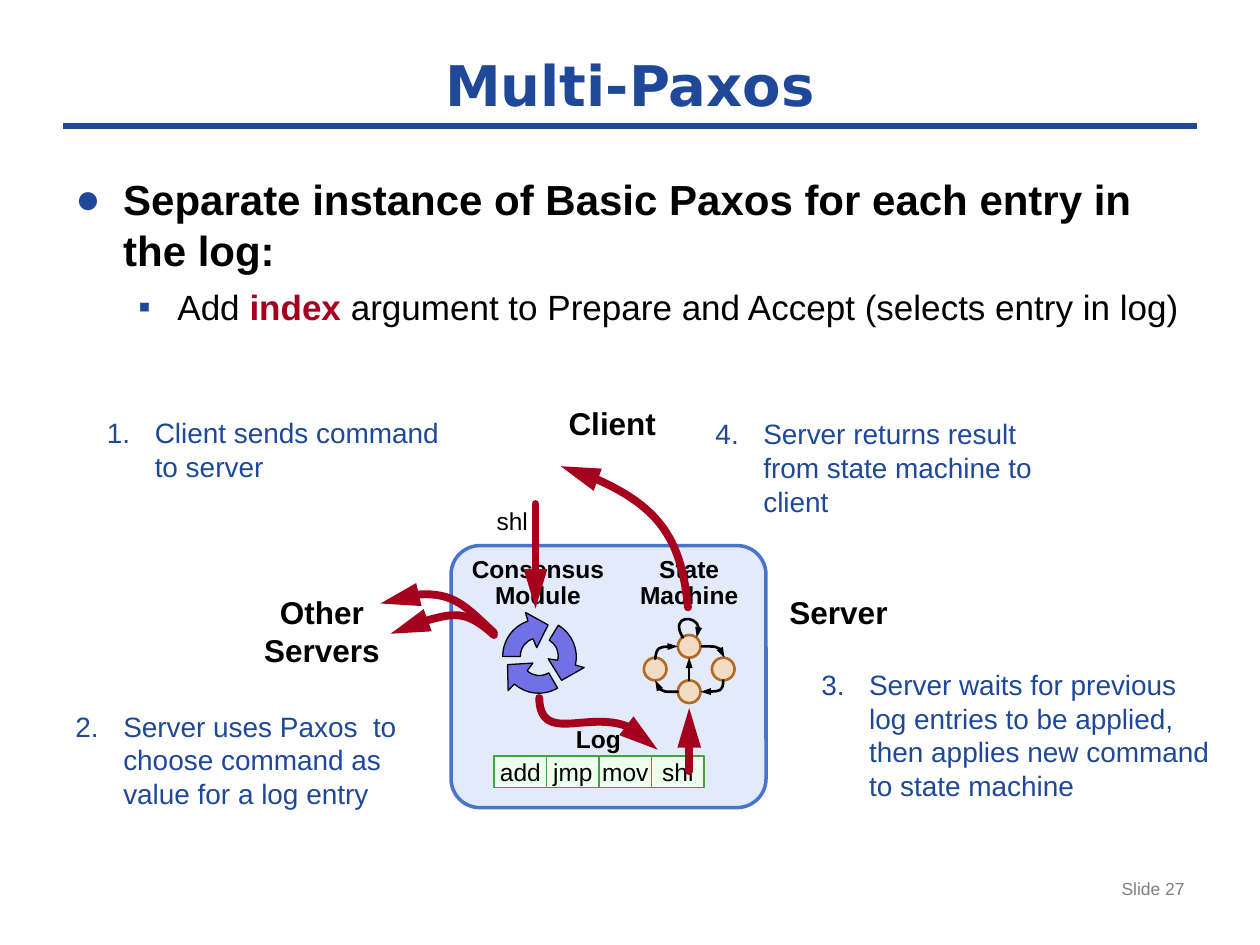
from lxml import etree
from pptx import Presentation
from pptx.dml.color import RGBColor
from pptx.enum.shapes import MSO_CONNECTOR, MSO_SHAPE
from pptx.enum.text import MSO_ANCHOR, MSO_AUTO_SIZE, PP_ALIGN
from pptx.oxml.ns import qn
from pptx.util import Inches, Pt

LEFT, CENTER, RIGHT = PP_ALIGN.LEFT, PP_ALIGN.CENTER, PP_ALIGN.RIGHT
TOP, MIDDLE = MSO_ANCHOR.TOP, MSO_ANCHOR.MIDDLE
GROW = MSO_AUTO_SIZE.SHAPE_TO_FIT_TEXT
STRAIGHT = MSO_CONNECTOR.STRAIGHT
RECTANGLE, ROUNDED, OVAL = MSO_SHAPE.RECTANGLE, MSO_SHAPE.ROUNDED_RECTANGLE, MSO_SHAPE.OVAL

BLUE, RED, BLACK, GRAY = "1F4899", "A5001E", "000000", "7F7F7F"


def color(value):
    return RGBColor.from_string(value)


def curve_frame(corners, steps=50):
    ranges = []
    for a, b, c, d in zip(*corners):
        values = []
        for step in range(steps + 1):
            t = step / steps
            u = 1 - t
            values.append(a * u ** 3 + 3 * b * t * u ** 2 + 3 * c * t ** 2 * u + d * t ** 3)
        ranges.append((min(values), max(values)))
    (left, right), (top, bottom) = ranges
    return left, top, right - left, bottom - top


class SlideBuilder:
    font = "Arial"

    def __init__(self, slide):
        self.slide = slide
        self.shapes = slide.shapes

    def style_runs(self, paragraph, size, hex_color=BLACK, bold=False, font=None):
        for run in paragraph.runs:
            run.font.name = font or self.font
            run.font.size = Pt(size)
            run.font.bold = bold
            run.font.color.rgb = color(hex_color)

    def bullet(self, paragraph, indent, hanging, tag, **attributes):
        properties = paragraph._p.get_or_add_pPr()
        properties.set("marL", str(Inches(indent)))
        properties.set("indent", str(-Inches(hanging)))
        bullet_color = etree.SubElement(properties, qn("a:buClr"))
        etree.SubElement(bullet_color, qn("a:srgbClr"), val=BLUE)
        if tag == "a:buChar":
            etree.SubElement(properties, qn("a:buFont"), typeface=self.font)
        etree.SubElement(properties, qn(tag), **attributes)

    def text(self, box, content, size, hex_color=BLACK, bold=False, align=CENTER, anchor=TOP,
             wrap=False, inset=True, spacing=None, font=None):
        shape = self.shapes.add_textbox(*map(Inches, box))
        frame = shape.text_frame
        frame.word_wrap = wrap
        frame.vertical_anchor = anchor
        if not wrap:
            frame.auto_size = GROW
        if not inset:
            frame.margin_left = frame.margin_right = frame.margin_top = frame.margin_bottom = 0
        frame.text = content
        for paragraph in frame.paragraphs:
            paragraph.alignment = align
            if spacing:
                paragraph.line_spacing = Pt(spacing)
            self.style_runs(paragraph, size, hex_color, bold, font)
        return frame

    def step(self, number, box, content):
        frame = self.text(box, content, 16, BLUE, align=LEFT, wrap=True)
        frame.auto_size = GROW
        self.bullet(frame.paragraphs[0], 0.38, 0.38, "a:buAutoNum",
                    type="arabicPeriod", startAt=str(number))

    def shape(self, kind, box, fill, line, width, content=""):
        shape = self.shapes.add_shape(kind, *map(Inches, box))
        self.paint(shape, fill, line, width)
        if content:
            frame = shape.text_frame
            frame.word_wrap = False
            frame.vertical_anchor = MIDDLE
            frame.text = content
            frame.paragraphs[0].alignment = CENTER
            self.style_runs(frame.paragraphs[0], 14)
        return shape

    def paint(self, shape, fill, line, width):
        shape.shadow.inherit = False
        if fill:
            shape.fill.solid()
            shape.fill.fore_color.rgb = color(fill)
        else:
            shape.fill.background()
        shape.line.color.rgb = color(line)
        shape.line.width = Pt(width)

    def outline(self, start, segments, frame, fill, line, width, close=False):
        vertices = [tuple(map(Inches, point)) for segment in segments for point in segment]
        builder = self.shapes.build_freeform(*map(Inches, start))
        builder.add_line_segments(vertices, close=close)
        shape = builder.convert_to_shape()
        geometry = next(shape._element.iter(qn("a:path")))
        edges = iter(geometry.findall(qn("a:lnTo")))
        for segment in segments:
            first, *others = [next(edges) for _ in segment]
            if others:
                first.tag = qn("a:cubicBezTo")
            for edge in others:
                first.append(edge[0])
                geometry.remove(edge)
        left, top, frame_width, frame_height = map(Inches, frame)
        for point in geometry.iter(qn("a:pt")):
            point.set("x", str(int(point.get("x")) + shape.left - left))
            point.set("y", str(int(point.get("y")) + shape.top - top))
        geometry.set("w", str(frame_width))
        geometry.set("h", str(frame_height))
        shape.left, shape.top, shape.width, shape.height = left, top, frame_width, frame_height
        self.paint(shape, fill, line, width)
        return shape

    def line(self, start, end, hex_color, width):
        connector = self.shapes.add_connector(STRAIGHT, *map(Inches, (*start, *end)))
        connector.line.color.rgb = color(hex_color)
        connector.line.width = Pt(width)
        etree.SubElement(connector._element.spPr, qn("a:effectLst"))
        return connector

    def arrow(self, *points, hex_color=RED, width=4.5, head=("med", "lg")):
        if len(points) == 2:
            shape = self.line(*points, hex_color, width)
        else:
            shape = self.outline(points[0], [points[1:]], curve_frame(points),
                                 None, hex_color, width)
        line = shape.line._get_or_add_ln()
        line.set("cap", "rnd")
        etree.SubElement(line, qn("a:round"))
        etree.SubElement(line, qn("a:tailEnd"), type="triangle", w=head[0], len=head[1])


def add_heading(builder):
    builder.line((0.5, 1), (9.5, 1), BLUE, 4)
    frame = builder.text((0.5, 1.33, 9, 5.37),
                         "Separate instance of Basic Paxos for each entry in the log:",
                         24, bold=True, align=LEFT, wrap=True)
    builder.bullet(frame.paragraphs[0], 0.38, 0.38, "a:buChar", char="●")
    detail = frame.add_paragraph()
    for content in ("Add ", "index", " argument to Prepare and Accept (selects entry in log)"):
        detail.add_run().text = content
    detail.level = 1
    detail.space_before = Pt(6)
    builder.bullet(detail, 0.81, 0.31, "a:buChar", char="▪")
    builder.style_runs(detail, 20)
    keyword = detail.runs[1].font
    keyword.bold = True
    keyword.color.rgb = color(RED)
    builder.text((7.17, 6.92, 2.33, 0.43), "Slide 27", 10, GRAY, align=RIGHT, wrap=True)
    builder.text((0.5, 0.33, 9, 0.67), "Multi-Paxos", 32, BLUE, True,
                 anchor=MIDDLE, wrap=True, font="DejaVu Sans")


def add_server(builder):
    server = builder.shape(ROUNDED, (3.58, 4.33, 2.5, 2.08), "E3EAF9", "4974CB", 2)
    server.adjustments[0] = 0.11
    for index, command in enumerate(("add", "jmp", "mov", "shl")):
        builder.shape(RECTANGLE, (3.92 + index * 1.25 / 3, 6, 0.42, 0.25),
                      "EDFFED", "43A343", 1, command)
    builder.text((4.57, 5.75, 0.36, 0.24), "Log", 14, bold=True, inset=False)
    for x, y in ((5.38, 5.04), (5.65, 5.22), (5.38, 5.4), (5.11, 5.22)):
        builder.shape(OVAL, (x, y, 0.18, 0.18), "F3DCC4", "B26B24", 1.5)
    transitions = (
        ((5.57, 5.13), (5.68, 5.13), (5.74, 5.13), (5.75, 5.22)),
        ((5.38, 5.49), (5.27, 5.49), (5.21, 5.49), (5.2, 5.4)),
        ((5.2, 5.23), (5.21, 5.13), (5.27, 5.13), (5.38, 5.13)),
        ((5.74, 5.4), (5.74, 5.49), (5.68, 5.49), (5.56, 5.49)),
        ((5.42, 5.06), (5.31, 4.88), (5.62, 4.87), (5.53, 5.06)),
        ((5.47, 5.4), (5.47, 5.22)),
    )
    for transition in transitions:
        builder.arrow(*transition, hex_color=BLACK, width=1.5, head=("sm", "med"))
    cycle_arrow = (
        ((4.17, 5.09), (4.13, 5.14), (4.13, 5.21)), ((3.99, 5.21),),
        ((3.99, 5.08), (4.07, 4.97), (4.19, 4.93)), ((4.17, 4.86),),
        ((4.35, 4.96),), ((4.26, 5.14),), ((4.23, 5.07),),
    )
    for degrees in (0, 121.4, 239.9):
        part = builder.outline((4.23, 5.07), cycle_arrow, (3.99, 4.92, 0.58, 0.58),
                               "7171E5", BLACK, 0.75, close=True)
        part.rotation = degrees
    for box, label in (((3.72, 4.42, 1.1, 0.42), "Consensus\vModule"),
                       ((5.07, 4.42, 0.8, 0.42), "State\vMachine")):
        builder.text(box, label, 14, bold=True, inset=False, spacing=15)


def add_message_flow(builder):
    for box, label in (((6.16, 4.66, 0.99, 0.4), "Server"),
                       ((4.41, 3.16, 0.9, 0.4), "Client"),
                       ((1.99, 4.66, 1.13, 0.71), "Other\nServers")):
        builder.text(box, label, 18, bold=True)
    builder.text((3.84, 3.97, 0.45, 0.34), "shl", 14)
    flows = (
        ((4.25, 4), (4.25, 4.83)),
        ((4.28, 5.54), (4.29, 5.91), (4.88, 5.5), (5.22, 5.95)),
        ((5.47, 6.12), (5.47, 5.62)),
        ((5.46, 4.82), (5.41, 4.3), (5.19, 3.92), (4.45, 3.7)),
        ((3.92, 5.02), (3.7, 4.82), (3.53, 4.6), (3.02, 4.79)),
        ((3.92, 5.04), (3.7, 4.84), (3.49, 4.86), (3.1, 5.03)),
    )
    for flow in flows:
        builder.arrow(*flow)
    steps = (
        ((0.75, 3.25, 2.92, 0.64), "Client sends command to server"),
        ((0.5, 5.58, 2.92, 0.91), "Server uses Paxos  to choose command as value for a log entry"),
        ((6.42, 5.25, 3.33, 1.18), "Server waits for previous log entries to be applied, "
                                   "then applies new command to state machine"),
        ((5.58, 3.26, 3.08, 0.91), "Server returns result from state machine to client"),
    )
    for number, (box, content) in enumerate(steps, 1):
        builder.step(number, box, content)


def main():
    presentation = Presentation()
    presentation.slide_width, presentation.slide_height = Inches(10), Inches(7.5)
    builder = SlideBuilder(presentation.slides.add_slide(presentation.slide_layouts[6]))
    add_heading(builder)
    add_server(builder)
    add_message_flow(builder)
    presentation.save("out.pptx")


if __name__ == "__main__":
    main()
